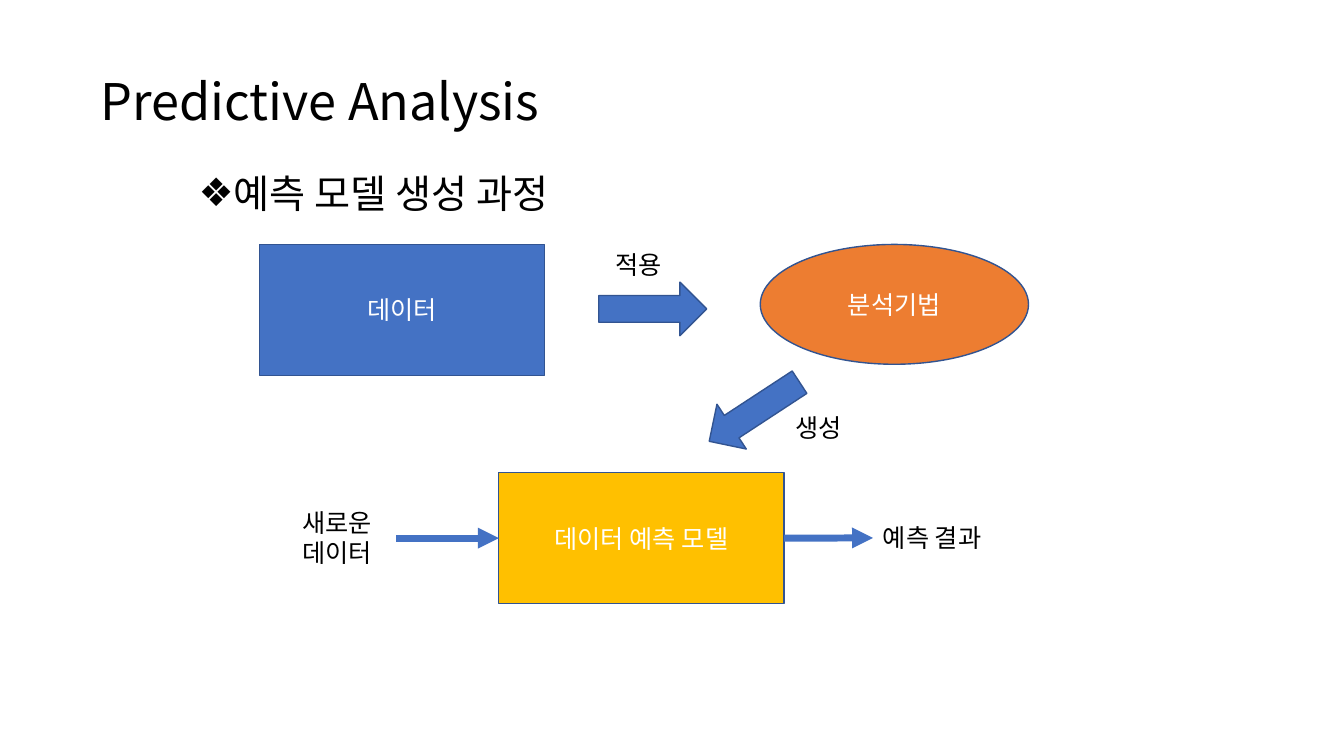
from lxml import etree
from pptx import Presentation
from pptx.dml.color import RGBColor
from pptx.enum.shapes import MSO_CONNECTOR, MSO_SHAPE
from pptx.enum.text import MSO_ANCHOR, MSO_AUTO_SIZE, PP_ALIGN
from pptx.oxml.ns import qn
from pptx.util import Cm, Pt

RECTANGLE = MSO_SHAPE.RECTANGLE
ELLIPSE = MSO_SHAPE.OVAL
RIGHT_ARROW = MSO_SHAPE.RIGHT_ARROW
STRAIGHT = MSO_CONNECTOR.STRAIGHT
TOP, MIDDLE = MSO_ANCHOR.TOP, MSO_ANCHOR.MIDDLE
LEFT, CENTER = PP_ALIGN.LEFT, PP_ALIGN.CENTER
NO_FIT, GROW = MSO_AUTO_SIZE.NONE, MSO_AUTO_SIZE.SHAPE_TO_FIT_TEXT

FONT = "Noto Sans CJK KR"
BLUE, ORANGE, YELLOW = "4472C4", "ED7D31", "FFC000"
OUTLINE, BLACK, WHITE = "325491", "000000", "FFFFFF"
LEFT_SIDE, RIGHT_SIDE = 1, 3
BOX_SIZE = (7.19, 3.3)
ARROW_SIZE = (2.72, 1.35)


def rgb(value):
    """Turn a hex string into a colour."""
    return RGBColor.from_string(value)


def write(frame, text, size=18, color=BLACK, align=LEFT, anchor=TOP,
          wrap=True, fit=NO_FIT):
    """Fill a text frame with one formatted paragraph per line."""
    frame.word_wrap = wrap
    frame.auto_size = fit
    frame.vertical_anchor = anchor
    frame.text = text
    for paragraph in frame.paragraphs:
        paragraph.alignment = align
        for run in paragraph.runs:
            run.font.size = Pt(size)
            run.font.name = FONT
            run.font.color.rgb = rgb(color)
            east_asian = etree.SubElement(run.font._element, qn("a:ea"))
            east_asian.set("typeface", FONT)


def place(placeholder, left, top, width, height):
    """Move and size a placeholder."""
    placeholder.left, placeholder.top = Cm(left), Cm(top)
    placeholder.width, placeholder.height = Cm(width), Cm(height)


def add_heading(body, text):
    """Write the section heading with its diamond bullet."""
    write(body.text_frame, text, size=28)
    heading = body.text_frame.paragraphs[0]
    heading.line_spacing = 0.9
    heading.space_before = Pt(10)
    properties = heading._p.get_or_add_pPr()
    properties.set("marL", str(Cm(0.64)))
    properties.set("indent", str(Cm(-0.64)))
    etree.SubElement(properties, qn("a:buChar")).set("char", "❖")


def add_figure(slide, kind, left, top, size, fill=BLUE, text="", rotation=0):
    """Add an outlined preset shape with a centred caption."""
    figure = slide.shapes.add_shape(kind, Cm(left), Cm(top), *map(Cm, size))
    figure.shadow.inherit = False
    figure.fill.solid()
    figure.fill.fore_color.rgb = rgb(fill)
    figure.line.color.rgb = rgb(OUTLINE)
    figure.line.width = Pt(1)
    figure.rotation = rotation
    if text:
        write(figure.text_frame, text, color=WHITE, align=CENTER, anchor=MIDDLE)
    return figure


def add_label(slide, text, left, top, width, height=1.03, wrap=False):
    """Add a plain text label."""
    label = slide.shapes.add_textbox(Cm(left), Cm(top), Cm(width), Cm(height))
    write(label.text_frame, text, wrap=wrap, fit=GROW)
    return label


def add_flow(slide, source, target):
    """Join two elements from right side to left side with a thick arrow."""
    flow = slide.shapes.add_connector(STRAIGHT, 0, 0, 0, 0)
    flow.begin_connect(source, RIGHT_SIDE)
    flow.end_connect(target, LEFT_SIDE)
    flow.line.color.rgb = rgb(BLUE)
    flow.line.width = Pt(5)
    line = flow.line._get_or_add_ln()
    etree.SubElement(line, qn("a:tailEnd")).set("type", "triangle")
    etree.SubElement(flow._element.spPr, qn("a:effectLst"))


def main():
    """Build the slide on how a prediction model is made."""
    deck = Presentation()
    deck.slide_width, deck.slide_height = Cm(33.87), Cm(19.05)
    slide = deck.slides.add_slide(deck.slide_layouts[1])

    title, body = slide.placeholders
    place(title, 2.29, 1.63, 18.87, 1.8)
    write(title.text_frame, "Predictive Analysis", size=36)
    place(body, 4.75, 4.27, 22.86, 13.72)
    add_heading(body, "예측 모델 생성 과정")

    add_figure(slide, RECTANGLE, 6.54, 6.16, BOX_SIZE, text="데이터")
    add_figure(slide, RIGHT_ARROW, 15.09, 7.11, ARROW_SIZE)
    add_label(slide, "적용", 15.27, 6.16, 1.8)
    add_figure(slide, ELLIPSE, 19.16, 6.16, (6.76, 3.02), ORANGE, "분석기법")

    add_figure(slide, RIGHT_ARROW, 17.65, 9.7, ARROW_SIZE, rotation=146.8)
    add_label(slide, "생성", 19.79, 10.26, 1.8)

    model = add_figure(slide, RECTANGLE, 12.57, 11.91, BOX_SIZE, YELLOW,
                       "데이터 예측 모델")
    new_data = add_label(slide, "새로운\n데이터", 7.37, 12.66, 2.62, 1.8, wrap=True)
    result = add_label(slide, "예측 결과", 22, 13.04, 3.4)
    add_flow(slide, new_data, model)
    add_flow(slide, model, result)

    deck.save("out.pptx")


if __name__ == "__main__":
    main()
